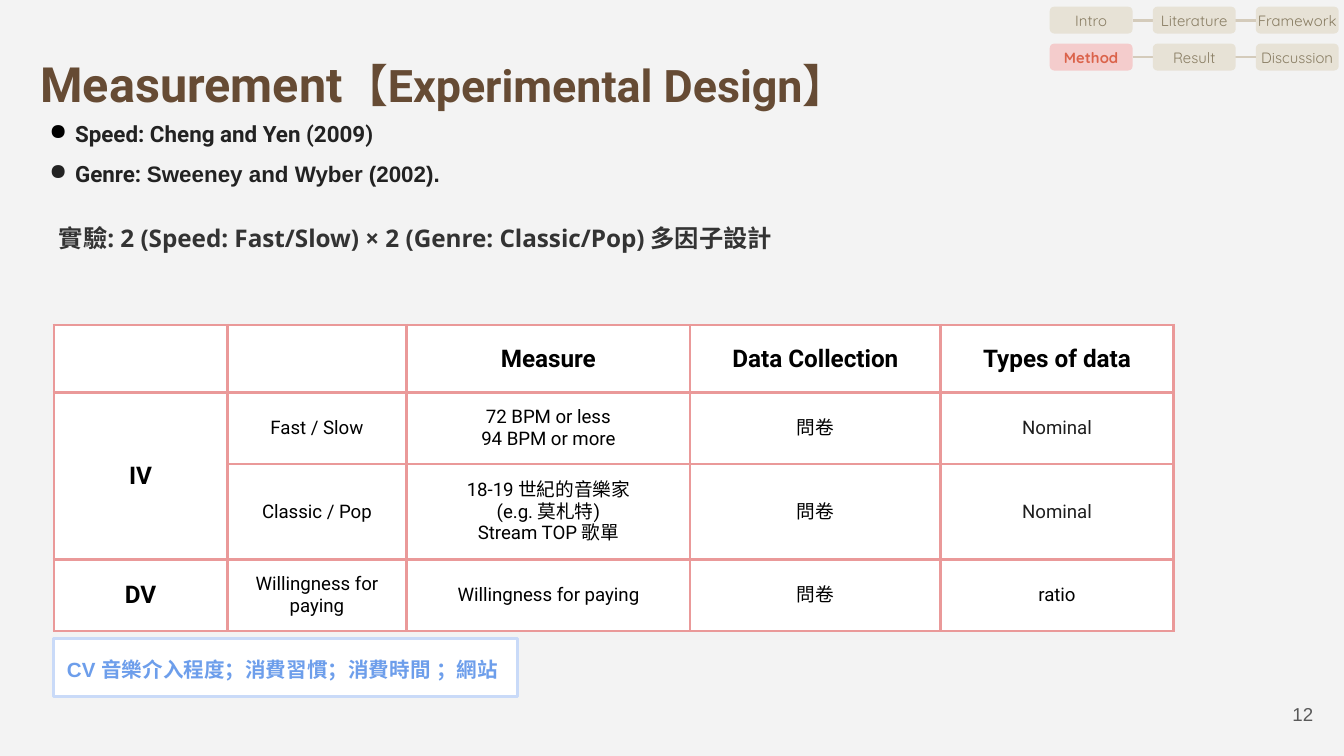
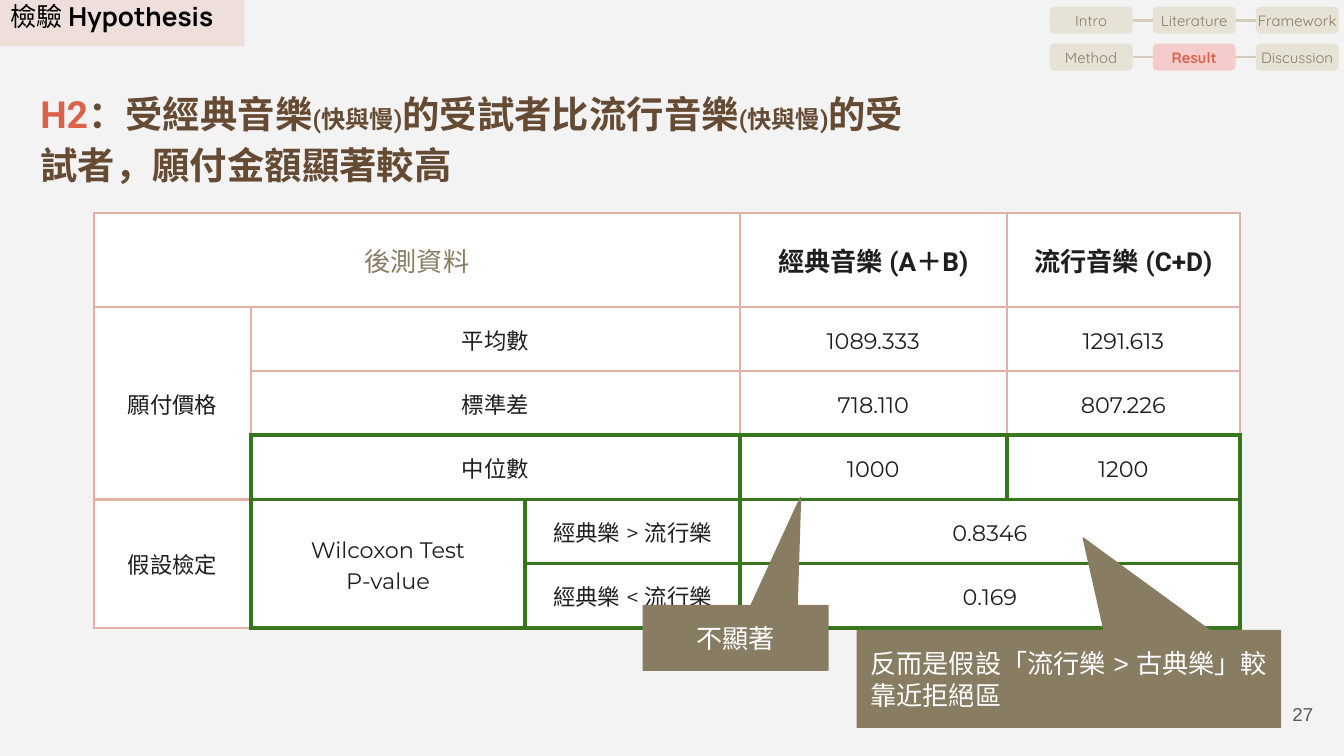
from dataclasses import dataclass
from typing import Any, Callable, NamedTuple, Optional

from lxml.etree import SubElement as Sub
from pptx import Presentation
from pptx.dml.color import RGBColor as RGB
from pptx.enum.shapes import MSO_CONNECTOR as Link, MSO_SHAPE as Kind
from pptx.enum.text import MSO_ANCHOR as Anchor, MSO_AUTO_SIZE as Fit, PP_ALIGN as Align
from pptx.oxml.ns import qn
from pptx.table import _Cell
from pptx.util import Pt

# Colours
PAPER = RGB(0xF3, 0xF3, 0xF3)
WHITE = RGB(0xFF, 0xFF, 0xFF)
BLACK = RGB(0x00, 0x00, 0x00)
INK = RGB(0x1E, 0x1E, 0x1E)
DARK = RGB(0x22, 0x22, 0x22)
SLATE = RGB(0x33, 0x33, 0x33)
GRAY = RGB(0x59, 0x59, 0x59)
BROWN = RGB(0x66, 0x4B, 0x34)
OLIVE = RGB(0x88, 0x7C, 0x62)
SAND = RGB(0xE7, 0xE2, 0xD6)
ROPE = RGB(0xD4, 0xCB, 0xBB)
ROSE = RGB(0xF4, 0xCC, 0xCC)
CORAL = RGB(0xDB, 0x63, 0x4B)
PINK = RGB(0xEA, 0x99, 0x99)
BLUSH = RGB(0xE2, 0xB0, 0xA6)
GREEN = RGB(0x38, 0x76, 0x1D)
SKY = RGB(0x6D, 0x9E, 0xEB)
ICE = RGB(0xC9, 0xDA, 0xF8)
BAND = RGB(0xE6, 0xB8, 0xAF)

STAGES = (("Intro", "Literature", "Framework"), ("Method", "Result", "Discussion"))


class Box(NamedTuple):
    left: float
    top: float
    width: float
    height: float

    def pts(self) -> tuple:
        return tuple(Pt(n) for n in self)


class Edge(NamedTuple):
    color: RGB
    width: float


@dataclass
class Bit:
    """A run of text; what is not given comes from its paragraph."""
    text: str
    size: Optional[float] = None
    font: Optional[str] = None
    color: Optional[RGB] = None
    bold: Optional[bool] = None


@dataclass
class Grid:
    left: float
    top: float
    cols: tuple
    rows: tuple
    cells: tuple
    spans: tuple
    look: Callable[[int, int], dict]
    edge: Callable[[int, int, str], Edge]


# Text
def write(host: Any, *paras: Any, size: float, font: str, color: RGB,
          bold: bool = False, align: Align = Align.LEFT, space: float = 1.0,
          anchor: Anchor = Anchor.MIDDLE, inset: float = 7.2,
          fit: Fit = Fit.NONE, dots: tuple = ()) -> None:
    """Fill a shape or cell; a paragraph is a string or a tuple of bits."""
    frame = host.text_frame
    area = host if isinstance(host, _Cell) else frame
    if area is frame:
        frame.word_wrap = True
        frame.auto_size = fit
    area.vertical_anchor = anchor
    area.margin_left = area.margin_right = Pt(inset)
    area.margin_top = area.margin_bottom = Pt(inset)
    for i, para in enumerate(paras):
        line = frame.paragraphs[0] if i == 0 else frame.add_paragraph()
        line.alignment = align
        line.line_spacing = space
        if dots:
            dot(line, dots[i])
        for bit in (Bit(para),) if isinstance(para, str) else para:
            run = line.add_run()
            run.text = bit.text
            face = run.font
            face.size = Pt(bit.size or size)
            face.bold = bold if bit.bold is None else bit.bold
            face.color.rgb = bit.color or color
            face.name = bit.font or font
            Sub(run._r.get_or_add_rPr(), qn("a:ea"), typeface=face.name)


def dot(line: Any, color: RGB) -> None:
    props = line._p.get_or_add_pPr()
    props.set("marL", str(Pt(36)))
    props.set("indent", str(-Pt(13.7)))
    Sub(Sub(props, qn("a:buClr")), qn("a:srgbClr"), val=str(color))
    Sub(props, qn("a:buChar"), char="●")


def label(slide: Any, box: Box, *paras: Any, **form: Any) -> None:
    write(slide.shapes.add_textbox(*box.pts()), *paras, **form)


# Shapes
def block(shapes: Any, kind: Kind, box: Box, fill: RGB,
          edge: Optional[Edge] = None, adj: tuple = ()) -> Any:
    shape = shapes.add_shape(kind, *box.pts())
    shape.shadow.inherit = False
    shape.fill.solid()
    shape.fill.fore_color.rgb = fill
    if edge:
        shape.line.color.rgb = edge.color
        shape.line.width = Pt(edge.width)
    else:
        shape.line.fill.background()
    for i, value in enumerate(adj):
        shape.adjustments[i] = value
    return shape


def callout(slide: Any, box: Box, tip: tuple, text: str, align: Align) -> None:
    shape = block(slide.shapes, Kind.ROUNDED_RECTANGULAR_CALLOUT, box, OLIVE,
                  Edge(OLIVE, 0.75), (*tip, 0))
    write(shape, text, size=14, font="Arial", color=WHITE, align=align)


# Stage map in the top right corner
def chip(shapes: Any, row: int, col: int, here: str) -> Any:
    name = STAGES[row][col]
    on = name == here
    box = Box(562.4 + 55.2 * col, 3.6 + 19.8 * row, 44.4, 14.4)
    shape = block(shapes, Kind.ROUNDED_RECTANGLE, box, ROSE if on else SAND,
                  adj=(0.167,))
    write(shape, name, size=8, font="Quicksand", color=CORAL if on else OLIVE,
          bold=on, align=Align.CENTER, inset=0)
    return shape


def stages(slide: Any, here: str) -> None:
    shapes = slide.shapes.add_group_shape().shapes
    for row in range(len(STAGES)):
        first, last = (chip(shapes, row, col, here) for col in (0, 2))
        link = shapes.add_connector(Link.STRAIGHT, 0, 0, 0, 0)
        link.begin_connect(first, 3)
        link.end_connect(last, 1)
        link.line.color.rgb = ROPE
        link.line.width = Pt(1.5)
        Sub(link._element.spPr, qn("a:effectLst"))
        chip(shapes, row, 1, here)


# Tables
def border(cell: Any, side: str, edge: Edge) -> None:
    props = cell._tc.get_or_add_tcPr()
    line = Sub(props, qn("a:ln" + side), w=str(Pt(edge.width)))
    Sub(Sub(line, qn("a:solidFill")), qn("a:srgbClr"), val=str(edge.color))


def draw(slide: Any, grid: Grid) -> None:
    box = Box(grid.left, grid.top, sum(grid.cols), sum(grid.rows))
    table = slide.shapes.add_table(len(grid.rows), len(grid.cols), *box.pts()).table
    table.first_row = table.horz_banding = False
    for col, width in zip(table.columns, grid.cols):
        col.width = Pt(width)
    for row, height in zip(table.rows, grid.rows):
        row.height = Pt(height)
    for r, texts in enumerate(grid.cells):
        for c, text in enumerate(texts):
            cell = table.cell(r, c)
            for side in "LRTB":
                border(cell, side, grid.edge(r, c, side))
            cell.fill.solid()
            cell.fill.fore_color.rgb = WHITE
            if text:
                write(cell, *text.split("\n"), align=Align.CENTER, **grid.look(r, c))
    for r, c, down, right in grid.spans:
        table.cell(r, c).merge(table.cell(r + down - 1, c + right - 1))


# Shared slide frame
def start(deck: Any, box: Box, here: str, page: int, *title: Bit, **form: Any) -> Any:
    slide = deck.slides.add_slide(deck.slide_layouts[5])
    head = slide.shapes.title
    head.left, head.top, head.width, head.height = box.pts()
    write(head, title, font="Roboto", color=BROWN, bold=True, **form)
    stages(slide, here)
    label(slide, Box(667.4, 367.2, 43.2, 31), str(page), size=10, font="Arial",
          color=GRAY, align=Align.RIGHT)
    return slide


# Slide: measurement
def plan_look(r: int, c: int) -> dict:
    head = r == 0 or c == 0
    return dict(size=13 if head else 10, font="Roboto", bold=head,
                color=INK if c == 4 and r in (1, 2) else BLACK)


PLAN = Grid(
    28.8, 174.2, (93, 96, 152, 134, 125), (36, 38, 51, 38),
    (("", "", "Measure", "Data Collection", "Types of data"),
     ("IV", "Fast / Slow", "72 BPM or less\n94 BPM or more", "問卷", "Nominal"),
     ("", "Classic / Pop", "18-19 世紀的音樂家\n(e.g. 莫札特)\nStream TOP 歌單",
      "問卷", "Nominal"),
     ("DV", "Willingness for paying", "Willingness for paying", "問卷", "ratio")),
    ((1, 0, 2, 1),), plan_look, lambda r, c, side: Edge(PINK, 1.5))


def measure(deck: Any) -> None:
    slide = start(deck, Box(14.4, 10.8, 607, 51.8), "Method", 12,
                  Bit("Measurement"), Bit("【Experimental Design】", 24),
                  size=26, space=1.5)
    label(slide, Box(-2.9, 49.7, 417, 51), "Speed: Cheng and Yen (2009)",
          (Bit("Genre: "), Bit("Sweeney and Wyber (2002).", font="Arial")),
          size=12, font="Roboto", color=DARK, bold=True, space=1.5,
          anchor=Anchor.TOP, fit=Fit.SHAPE_TO_FIT_TEXT, dots=(BLACK, DARK))
    draw(slide, PLAN)
    note = block(slide.shapes, Kind.RECTANGLE, Box(28.8, 342, 248.4, 31), WHITE,
                 Edge(ICE, 1.5))
    write(note, "CV 音樂介入程度；消費習慣；消費時間 ；網站", size=11, font="Arial",
          color=SKY, bold=True, space=1.15)
    label(slide, Box(24.5, 110.2, 578, 48.2),
          "實驗: 2 (Speed: Fast/Slow) × 2 (Genre: Classic/Pop) 多因子設計",
          size=13, font="Open Sans", color=SLATE, bold=True, space=1.15,
          anchor=Anchor.TOP, fit=Fit.SHAPE_TO_FIT_TEXT)


# Slide: hypothesis test
def test_look(r: int, c: int) -> dict:
    head = r == 0
    return dict(size=14 if head else 12, font="Roboto" if head else "Montserrat",
                bold=head and c > 0, color=OLIVE if head and c == 0 else INK,
                space=1.15)


def test_edge(r: int, c: int, side: str) -> Edge:
    """Green around the median and p-value cells, blush elsewhere."""
    near = (r + (side == "B"), c + (side == "R"))
    key = any(row >= 3 and col >= 1 for row, col in ((r, c), near))
    return Edge(GREEN, 2.25) if key else Edge(BLUSH, 1.5)


TEST = Grid(
    50.4, 114, (84, 147, 115, 143, 125), (50.4,) + (34.4,) * 5,
    (("後測資料", "", "", "經典音樂 (A＋B)", "流行音樂 (C+D)"),
     ("願付價格", "平均數", "", "1089.333", "1291.613"),
     ("", "標準差", "", "718.110", "807.226"),
     ("", "中位數", "", "1000", "1200"),
     ("假設檢定", "Wilcoxon Test\nP-value", "經典樂 > 流行樂", "0.8346", ""),
     ("", "", "經典樂 < 流行樂", "0.169", "")),
    ((0, 0, 1, 3), (1, 0, 3, 1), (1, 1, 1, 2), (2, 1, 1, 2), (3, 1, 1, 2),
     (4, 0, 2, 1), (4, 1, 2, 1), (4, 3, 1, 2), (5, 3, 1, 2)),
    test_look, test_edge)


def result(deck: Any) -> None:
    slide = start(deck, Box(14.4, 46.8, 488.2, 51.8), "Result", 27,
                  Bit("H2", color=CORAL), Bit("：受經典音樂"), Bit("(快與慢)", 13),
                  Bit("的受試者比流行音樂"), Bit("(快與慢)", 13),
                  Bit("的受試者，願付金額顯著較高"), size=20, space=1.15)
    draw(slide, TEST)
    callout(slide, Box(344.6, 324.4, 98.9, 34.6), (0.352, -2.174), "不顯著",
            Align.CENTER)
    callout(slide, Box(459.2, 337.8, 226.8, 51.8), (0.034, -1.457),
            "反而是假設「流行樂 > 古典樂」較靠近拒絕區", Align.LEFT)
    band = block(slide.shapes, Kind.RECTANGLE, Box(-1.4, -6.8, 132.5, 31.7), BAND)
    tint = band.fill._xPr.find(qn("a:solidFill"))[0]
    Sub(tint, qn("a:alpha"), val="33000")
    write(band, (Bit("檢驗 "), Bit("Hypothesis", bold=True)), size=14,
          font="Manrope", color=BLACK, anchor=Anchor.TOP,
          fit=Fit.SHAPE_TO_FIT_TEXT)


def main() -> None:
    deck = Presentation()
    deck.slide_width, deck.slide_height = Pt(720), Pt(405)
    paper = deck.slide_master.background.fill
    paper.solid()
    paper.fore_color.rgb = PAPER
    measure(deck)
    result(deck)
    deck.save("out.pptx")


if __name__ == "__main__":
    main()
